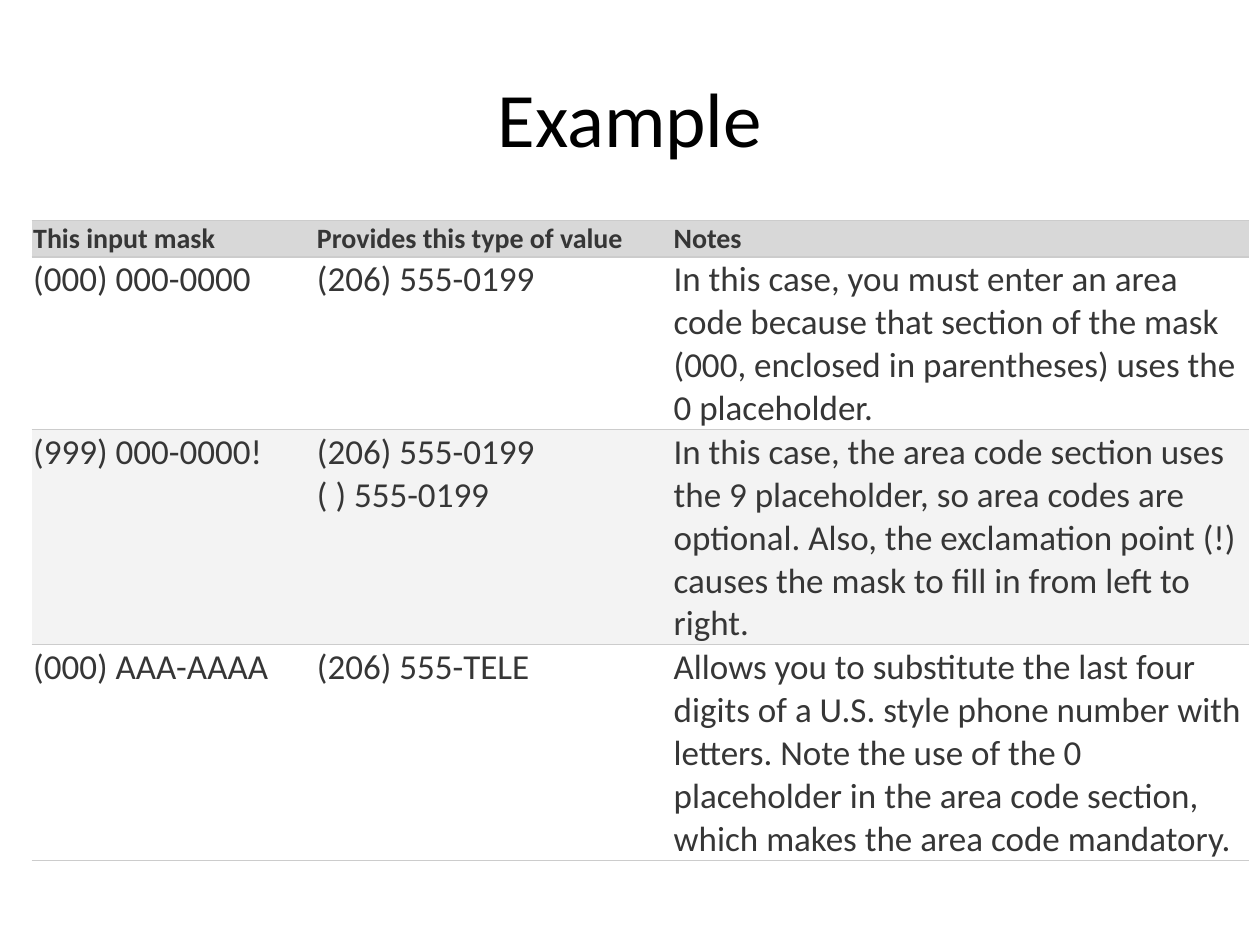
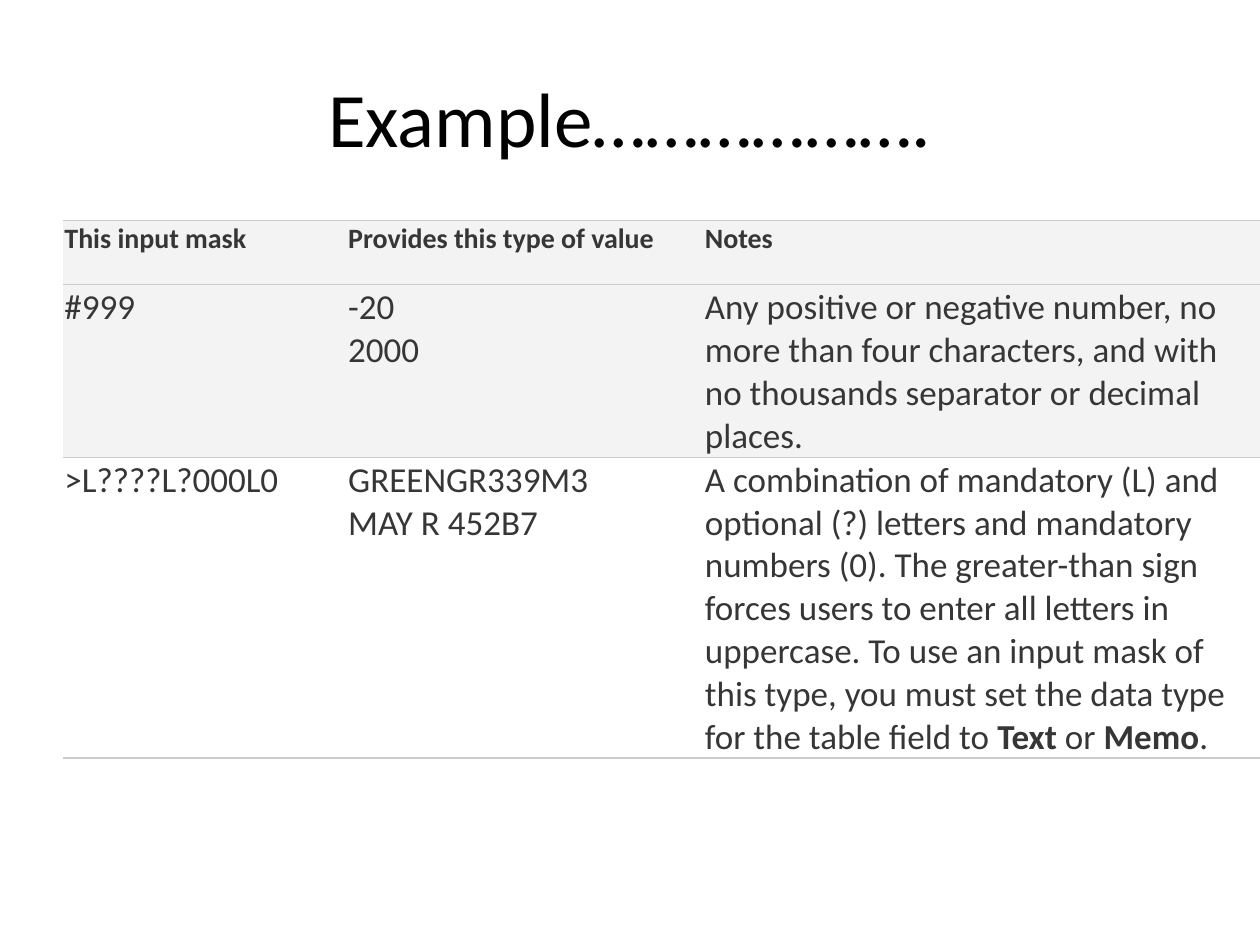
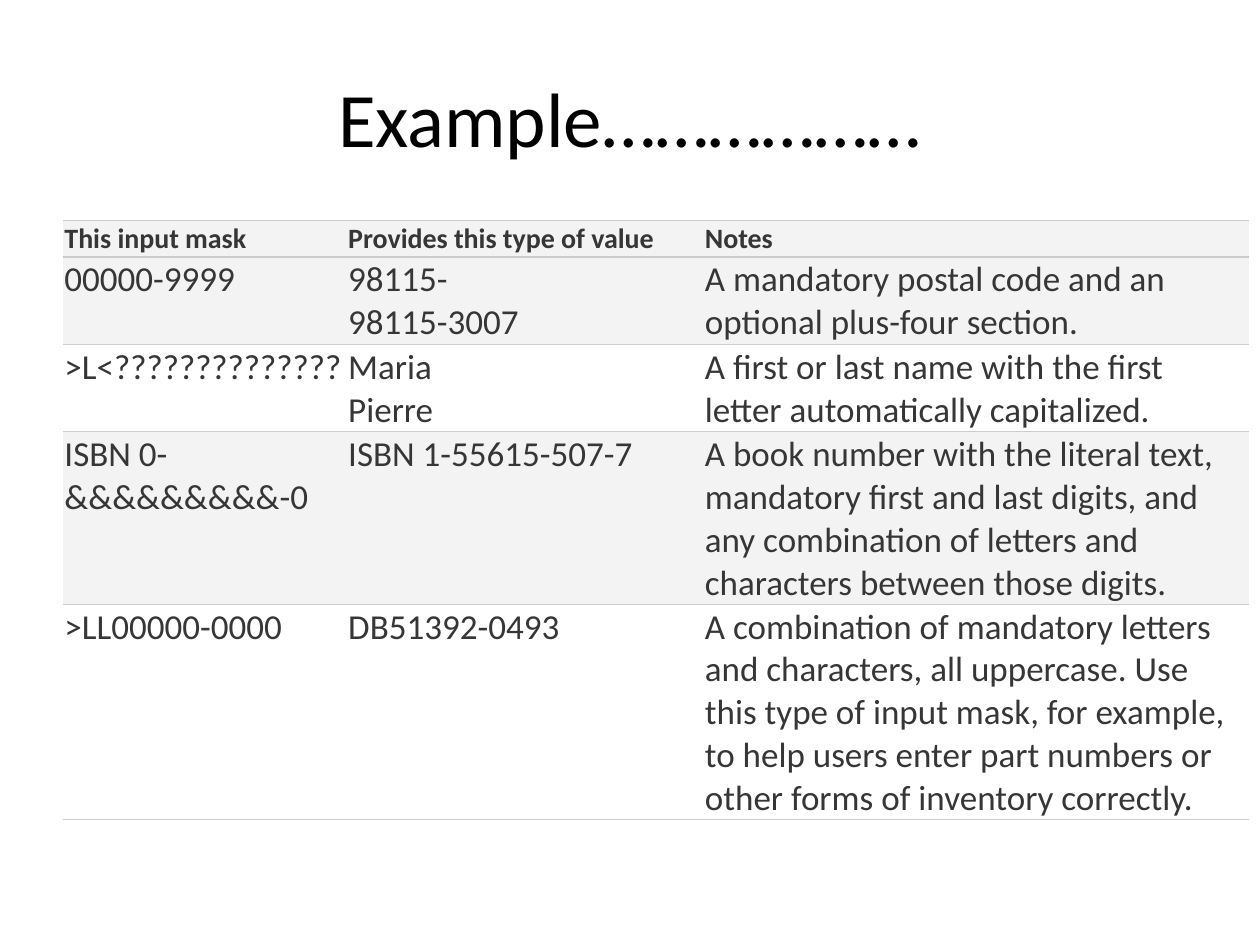
from dataclasses import dataclass

from lxml.etree import SubElement
from pptx import Presentation
from pptx.dml.color import RGBColor
from pptx.enum.text import MSO_ANCHOR, PP_ALIGN
from pptx.oxml.ns import qn
from pptx.util import Cm, Pt


@dataclass(frozen=True)
class Theme:
    font: str = "Calibri"
    title_size: int = 44
    header_size: int = 16
    body_size: int = 20
    title_color: str = "000000"
    text_color: str = "363636"
    line_color: str = "CCCCCC"
    strong_band: str = "D8D8D8"
    band: str = "F3F3F3"
    plain: str = "FFFFFF"


theme = Theme()
HEADERS = ("This input mask", "Provides this type of value", "Notes")
MASK_WIDTH, VALUE_WIDTH = 5.72, 7.19
LINE_HEIGHT, ROW_PADDING = 0.86, 0.04

# Each row holds its fill, its number of text lines and its cells; ** encloses bold words.
slides = [
    {
        "title": "Example",
        "left": 0.64,
        "notes_width": 11.63,
        "header_fill": theme.strong_band,
        "header_height": 0.74,
        "rows": [
            (theme.plain, 4, (
                "(000) 000-0000",
                "(206) 555-0199",
                "In this case, you must enter an area code because that section of the mask "
                "(000, enclosed in parentheses) uses the 0 placeholder.",
            )),
            (theme.band, 5, (
                "(999) 000-0000!",
                "(206) 555-0199\n( ) 555-0199",
                "In this case, the area code section uses the 9 placeholder, so area codes are "
                "optional. Also, the exclamation point (!) causes the mask to fill in from left "
                "to right.",
            )),
            (theme.plain, 5, (
                "(000) AAA-AAAA",
                "(206) 555-TELE",
                "Allows you to substitute the last four digits of a U.S. style phone number with "
                "letters. Note the use of the 0 placeholder in the area code section, which "
                "makes the area code mandatory.",
            )),
        ],
    },
    {
        "title": "Example……………….",
        "left": 1.27,
        "notes_width": 11.23,
        "header_fill": theme.band,
        "header_height": 1.3,
        "rows": [
            (theme.band, 4, (
                "#999",
                "-20\n2000",
                "Any positive or negative number, no more than four characters, and with no "
                "thousands separator or decimal places.",
            )),
            (theme.plain, 7, (
                ">L????L?000L0",
                "GREENGR339M3\nMAY R 452B7",
                "A combination of mandatory (L) and optional (?) letters and mandatory numbers "
                "(0). The greater-than sign forces users to enter all letters in uppercase. To "
                "use an input mask of this type, you must set the data type for the table field "
                "to **Text** or **Memo**.",
            )),
        ],
    },
    {
        "title": "Example………………",
        "left": 1.27,
        "notes_width": 11,
        "header_fill": theme.band,
        "header_height": 0.74,
        "rows": [
            (theme.band, 2, (
                "00000-9999",
                "98115-\n98115-3007",
                "A mandatory postal code and an optional plus-four section.",
            )),
            (theme.plain, 2, (
                ">L<??????????????",
                "Maria\nPierre",
                "A first or last name with the first letter automatically capitalized.",
            )),
            (theme.band, 4, (
                "ISBN 0-&&&&&&&&&-0",
                "ISBN 1-55615-507-7",
                "A book number with the literal text, mandatory first and last digits, and any "
                "combination of letters and characters between those digits.",
            )),
            (theme.plain, 5, (
                ">LL00000-0000",
                "DB51392-0493",
                "A combination of mandatory letters and characters, all uppercase. Use this type "
                "of input mask, for example, to help users enter part numbers or other forms of "
                "inventory correctly.",
            )),
        ],
    },
]


def style_span(span, size, color):
    span.font.name = theme.font
    span.font.size = Pt(size)
    span.font.color.rgb = RGBColor.from_string(color)


def set_borders(cell):
    """Rule the cell above and below and leave its sides open."""
    properties = cell._tc.get_or_add_tcPr()
    for side in ("lnL", "lnR"):
        SubElement(SubElement(properties, qn(f"a:{side}"), w="0"), qn("a:noFill"))
    for side in ("lnT", "lnB"):
        line = SubElement(properties, qn(f"a:{side}"), w=str(Pt(0.75)))
        SubElement(SubElement(line, qn("a:solidFill")), qn("a:srgbClr"), val=theme.line_color)


deck = Presentation()
deck.slide_width, deck.slide_height = Cm(25.4), Cm(19.05)

for content in slides:
    page = deck.slides.add_slide(deck.slide_layouts[6])

    title_box = page.shapes.add_textbox(Cm(1.27), Cm(0.76), Cm(22.86), Cm(3.18))
    title_box.text_frame.word_wrap = True
    title_box.text_frame.vertical_anchor = MSO_ANCHOR.MIDDLE
    title = title_box.text_frame.paragraphs[0]
    title.text = content["title"]
    title.alignment = PP_ALIGN.CENTER
    style_span(title.runs[0], theme.title_size, theme.title_color)

    rows = [(content["header_fill"], content["header_height"], HEADERS)]
    for fill, lines, texts in content["rows"]:
        rows.append((fill, lines * LINE_HEIGHT + ROW_PADDING, texts))
    widths = (MASK_WIDTH, VALUE_WIDTH, content["notes_width"])

    table = page.shapes.add_table(
        len(rows), len(widths), Cm(content["left"]), Cm(4.44),
        Cm(sum(widths)), Cm(sum(height for _, height, _ in rows)),
    ).table
    table.first_row = table.horz_banding = False
    for column, width in zip(table.columns, widths):
        column.width = Cm(width)

    for row_index, (fill, height, texts) in enumerate(rows):
        is_header = row_index == 0
        table.rows[row_index].height = Cm(height)
        for cell, text in zip(table.rows[row_index].cells, texts):
            set_borders(cell)
            cell.fill.solid()
            cell.fill.fore_color.rgb = RGBColor.from_string(fill)
            cell.margin_left = cell.margin_top = cell.margin_bottom = Cm(0.03)
            cell.margin_right = Cm(0.05)

            paragraph = cell.text_frame.paragraphs[0]
            opening, *pieces = text.split("**")
            paragraph.text = opening
            for piece_index, piece in enumerate(pieces):
                span = paragraph.add_run()
                span.text = piece
                span.font.bold = piece_index % 2 == 0
            for span in paragraph.runs:
                style_span(span, theme.header_size if is_header else theme.body_size,
                           theme.text_color)
                if is_header:
                    span.font.bold = True

deck.save("out.pptx")
